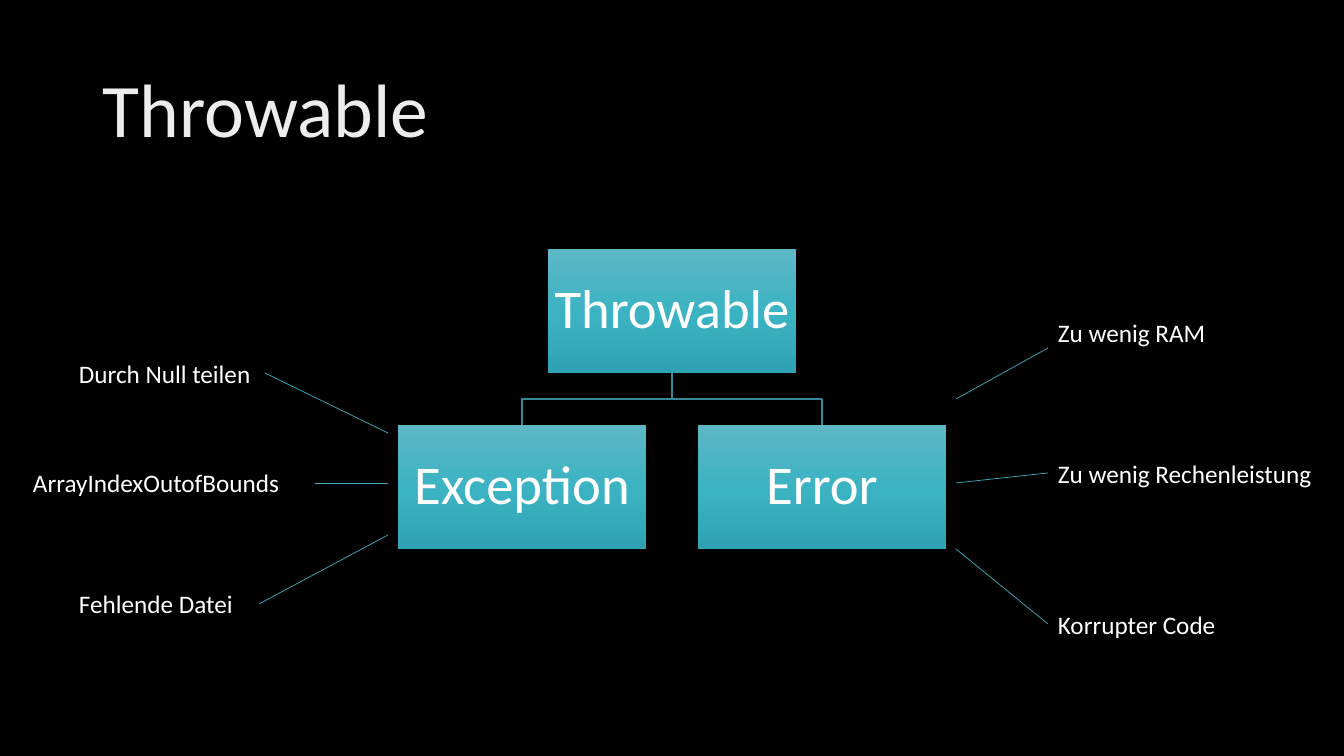
import lxml.etree
import pptx
import pptx.dml.color
import pptx.enum.shapes
import pptx.enum.text
import pptx.oxml.ns
import pptx.util

EMU_PER_PX = 914400 / 100.8
COLOURS = {
    "background": "000000",
    "title": "EDEDED",
    "text": "FFFFFF",
    "branch": "348B97",
    "pointer": "41AEBD",
    "box_top": "5FB7C5",
    "box_middle": "3BB3C3",
    "box_bottom": "2FA3B3",
}
BOX_GRADIENT = [(0, "box_top"), (50, "box_middle"), (100, "box_bottom")]
BOX_WIDTH, BOX_HEIGHT, BOX_GAP = 248, 124, 52


def px(length):
    return pptx.util.Emu(round(length * EMU_PER_PX))


def colour(name):
    return pptx.dml.color.RGBColor.from_string(COLOURS[name])


def write_text(shape, text, size=18, color="text", align="LEFT", anchor="TOP",
               spacing=1.0, inset=None):
    frame = shape.text_frame
    frame.word_wrap = True
    frame.vertical_anchor = pptx.enum.text.MSO_ANCHOR[anchor]
    if inset is not None:
        frame.margin_left = frame.margin_right = px(inset)
        frame.margin_top = frame.margin_bottom = px(inset)
    paragraph = frame.paragraphs[0]
    paragraph.alignment = pptx.enum.text.PP_ALIGN[align]
    paragraph.line_spacing = spacing
    run = paragraph.add_run()
    run.text = text
    run.font.name = "Calibri"
    run.font.size = pptx.util.Pt(size)
    run.font.color.rgb = colour(color)


class HierarchySlide:
    """Draws boxes, branches, labels and pointers on one slide."""

    def __init__(self, presentation):
        self.slide = presentation.slides.add_slide(presentation.slide_layouts[6])
        self.shapes = self.slide.shapes
        fill = self.slide.background.fill
        fill.solid()
        fill.fore_color.rgb = colour("background")

    def label(self, text, left, top, width, height=40, **style):
        shape = self.shapes.add_textbox(px(left), px(top), px(width), px(height))
        write_text(shape, text, **style)

    def box(self, text, left, top):
        shape = self.shapes.add_shape(
            pptx.enum.shapes.MSO_SHAPE.RECTANGLE,
            px(left), px(top), px(BOX_WIDTH), px(BOX_HEIGHT))
        shape.shadow.inherit = False
        shape.line.fill.background()
        shape.fill.gradient()
        shape.fill.gradient_angle = 270
        qn = pptx.oxml.ns.qn
        stops = shape.element.spPr.find(qn("a:gradFill")).find(qn("a:gsLst"))
        stops.clear()
        for percent, name in BOX_GRADIENT:
            stop = lxml.etree.SubElement(stops, qn("a:gs"), pos=str(percent * 1000))
            lxml.etree.SubElement(stop, qn("a:srgbClr"), val=COLOURS[name])
        write_text(shape, text, size=39, align="CENTER", anchor="MIDDLE",
                   spacing=0.9, inset=3)

    def branch(self, start_x, start_y, end_x, end_y):
        middle_y = (start_y + end_y) // 2
        builder = self.shapes.build_freeform(start_x, start_y, scale=EMU_PER_PX)
        builder.add_line_segments(
            [(start_x, middle_y), (end_x, middle_y), (end_x, end_y)], close=False)
        shape = builder.convert_to_shape()
        shape.shadow.inherit = False
        shape.fill.background()
        shape.line.color.rgb = colour("branch")
        shape.line.width = pptx.util.Pt(1)

    def pointer(self, start_x, start_y, end_x, end_y):
        line = self.shapes.add_connector(
            pptx.enum.shapes.MSO_CONNECTOR.STRAIGHT,
            px(start_x), px(start_y), px(end_x), px(end_y))
        line.line.color.rgb = colour("pointer")
        line.line.width = pptx.util.Pt(0.5)
        lxml.etree.SubElement(line.element.spPr, pptx.oxml.ns.qn("a:effectLst"))


def main():
    presentation = pptx.Presentation()
    presentation.slide_width = px(1344)
    presentation.slide_height = px(756)
    page = HierarchySlide(presentation)
    page.label("Throwable", 93, 40, 1159, 146, size=54, color="title",
               anchor="MIDDLE", spacing=0.9)

    center, root_top = 672, 249
    root_bottom = root_top + BOX_HEIGHT
    child_top = root_bottom + BOX_GAP
    child_offset = (BOX_WIDTH + BOX_GAP) // 2
    children = [("Exception", center - child_offset), ("Error", center + child_offset)]
    for _, child_center in children:
        page.branch(center, root_bottom, child_center, child_top)
    page.box("Throwable", center - BOX_WIDTH // 2, root_top)
    for name, child_center in children:
        page.box(name, child_center - BOX_WIDTH // 2, child_top)

    exception_x, error_x, error_label_x = 388, 956, 1048
    exception_examples = [
        ("Durch Null teilen", 69, 353, 196, 433, 265, 373),
        ("ArrayIndexOutofBounds", 23, 462, 291, 483, 315, 483),
        ("Fehlende Datei", 69, 583, 191, 535, 259, 604),
    ]
    for text, left, top, width, start_y, end_x, end_y in exception_examples:
        page.label(text, left, top, width)
        page.pointer(exception_x, start_y, end_x, end_y)

    error_examples = [
        ("Zu wenig RAM", 312, 193, 399, 348),
        ("Zu wenig Rechenleistung", 453, 294, 483, 473),
        ("Korrupter Code", 604, 230, 549, 624),
    ]
    for text, top, width, start_y, end_y in error_examples:
        page.label(text, error_label_x, top, width)
        page.pointer(error_x, start_y, error_label_x, end_y)

    presentation.save("out.pptx")


if __name__ == "__main__":
    main()
